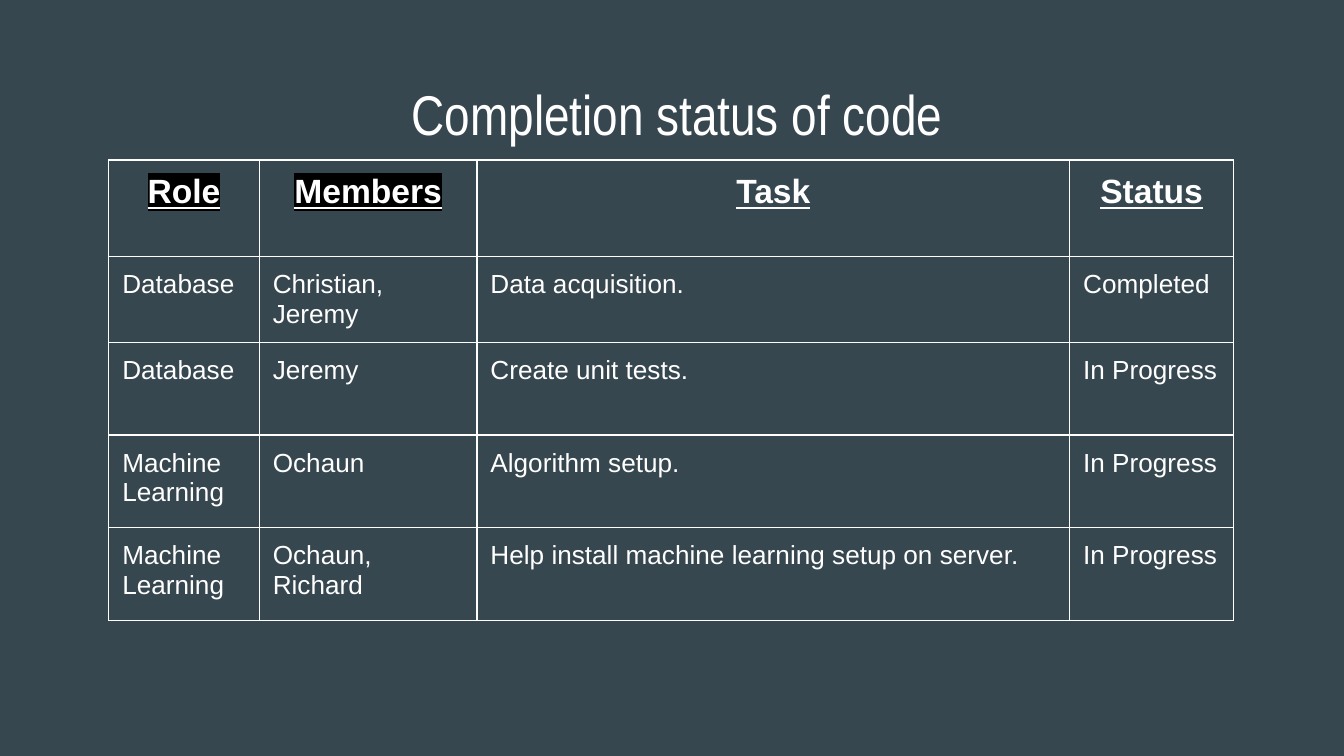
from dataclasses import dataclass

import pptx
import pptx.dml.color
import pptx.enum.text
import pptx.oxml
import pptx.oxml.ns
import pptx.util

Inches = pptx.util.Inches
Pt = pptx.util.Pt
Align = pptx.enum.text.PP_ALIGN
Anchor = pptx.enum.text.MSO_ANCHOR

BACK = "37474F"
WHITE = "FFFFFF"
BLACK = "000000"
PAD = Inches(0.1)


@dataclass
class Style:
    size: float
    font: str = "Arial"
    bold: bool = False
    line: bool = False
    align: Align = Align.LEFT


@dataclass
class Column:
    name: str
    width: float
    marked: bool = False


TITLE = Style(30, "Arial Narrow", align=Align.CENTER)
HEAD = Style(18, bold=True, line=True, align=Align.CENTER)
BODY = Style(14)

COLUMNS = [
    Column("Role", 1.12, True),
    Column("Members", 1.62, True),
    Column("Task", 4.41),
    Column("Status", 1.22),
]
HEIGHTS = [0.72, 0.62, 0.69, 0.69, 0.69]
TASKS = [
    ("Database", "Christian, Jeremy", "Data acquisition.", "Completed"),
    ("Database", "Jeremy", "Create unit tests.", "In Progress"),
    ("Machine Learning", "Ochaun", "Algorithm setup.", "In Progress"),
    ("Machine Learning", "Ochaun, Richard",
     "Help install machine learning setup on server.", "In Progress"),
]


def color(code: str) -> pptx.dml.color.RGBColor:
    return pptx.dml.color.RGBColor.from_string(code)


def element(xml: str):
    """Parse one DrawingML element whose tag holds the {ns} slot."""
    return pptx.oxml.parse_xml(xml.format(ns=pptx.oxml.ns.nsdecls("a")))


def write(frame, text: str, style: Style):
    para = frame.paragraphs[0]
    para.alignment = style.align
    run = para.add_run()
    run.text = text
    font = run.font
    font.name, font.size = style.font, Pt(style.size)
    font.bold, font.underline = style.bold, style.line
    font.color.rgb = color(WHITE)
    return run


def mark(run, code: str) -> None:
    """Highlight a run; the highlight must follow the fill."""
    fill = run.font._element.find(pptx.oxml.ns.qn("a:solidFill"))
    fill.addnext(element(
        f'<a:highlight {{ns}}><a:srgbClr val="{code}"/></a:highlight>'))


def pad(part) -> None:
    part.margin_left = part.margin_right = PAD
    part.margin_top = part.margin_bottom = PAD


def border(cell, code: str, width: float) -> None:
    """Draw all four sides; the lines must precede the cell fill."""
    props = cell._tc.get_or_add_tcPr()
    for place, side in enumerate("LRTB"):
        props.insert(place, element(
            f'<a:ln{side} {{ns}} w="{Pt(width)}"><a:solidFill>'
            f'<a:srgbClr val="{code}"/></a:solidFill></a:ln{side}>'))


def fill_cell(cell, text: str, style: Style, marked: bool = False) -> None:
    pad(cell)
    cell.vertical_anchor = Anchor.TOP
    cell.fill.background()
    border(cell, WHITE, 0.75)
    run = write(cell.text_frame, text, style)
    if marked:
        mark(run, BLACK)


def add_title(slide, text: str) -> None:
    title = slide.shapes.title
    title.left, title.top = Inches(0.9), Inches(0.49)
    title.width, title.height = Inches(8.28), Inches(0.63)
    frame = title.text_frame
    pad(frame)
    frame.word_wrap = True
    frame.auto_size = pptx.enum.text.MSO_AUTO_SIZE.NONE
    frame.vertical_anchor = Anchor.TOP
    write(frame, text, TITLE)


def add_grid(slide) -> None:
    table = slide.shapes.add_table(
        len(HEIGHTS), len(COLUMNS), Inches(0.81), Inches(1.19),
        Inches(sum(col.width for col in COLUMNS)),
        Inches(sum(HEIGHTS))).table
    table.first_row = table.horz_banding = False
    for row, height in zip(table.rows, HEIGHTS):
        row.height = Inches(height)

    # Header row
    for place, col in enumerate(COLUMNS):
        table.columns[place].width = Inches(col.width)
        fill_cell(table.cell(0, place), col.name, HEAD, col.marked)

    # Task rows
    for line, task in enumerate(TASKS, 1):
        for place, text in enumerate(task):
            fill_cell(table.cell(line, place), text, BODY)


def main() -> None:
    # Widescreen page, 16 to 9
    deck = pptx.Presentation()
    deck.slide_width = Inches(10)
    deck.slide_height = Inches(10 * 9 / 16)

    slide = deck.slides.add_slide(deck.slide_layouts[5])
    back = slide.background.fill
    back.solid()
    back.fore_color.rgb = color(BACK)
    add_title(slide, "Completion status of code")
    add_grid(slide)
    deck.save("out.pptx")


if __name__ == "__main__":
    main()
